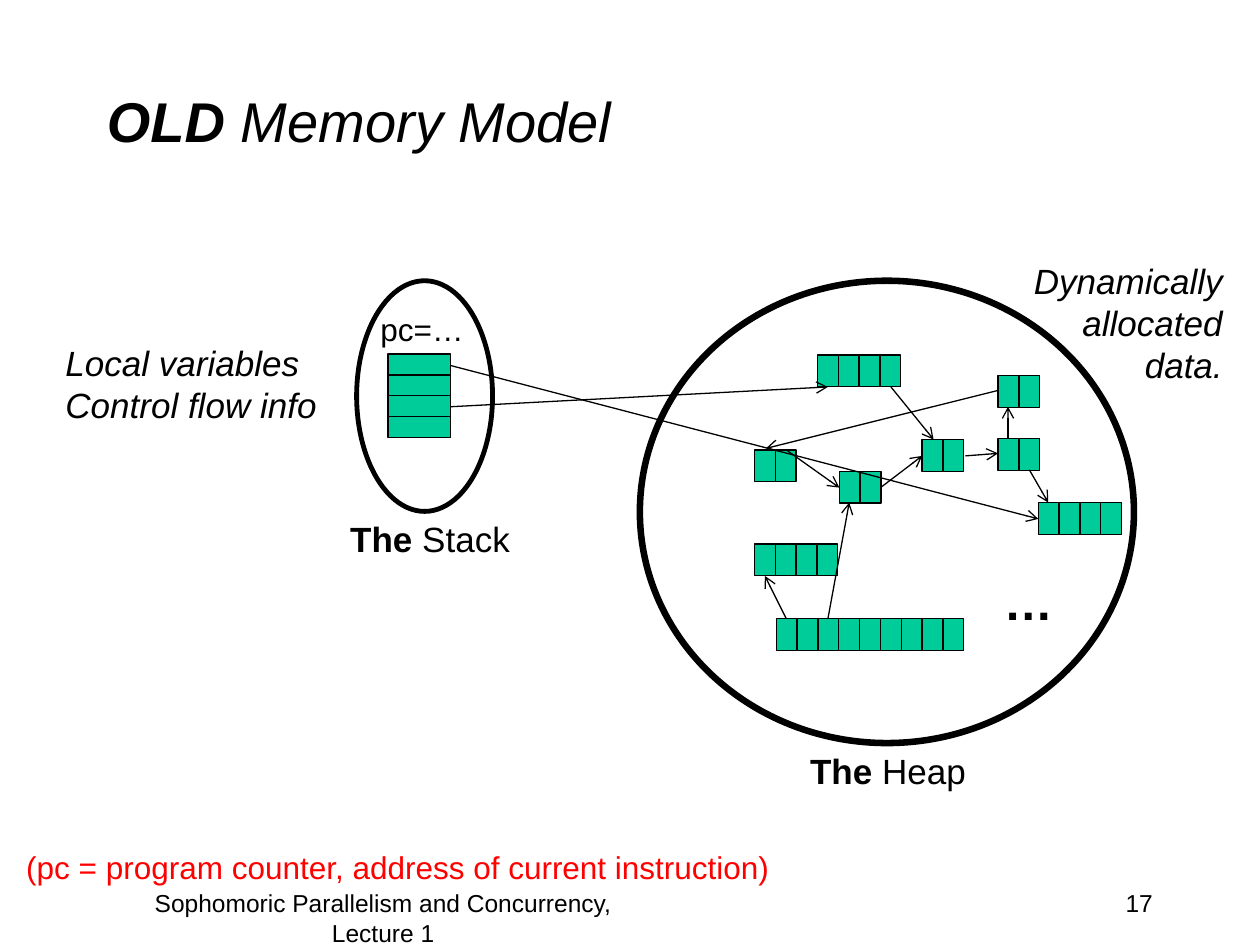
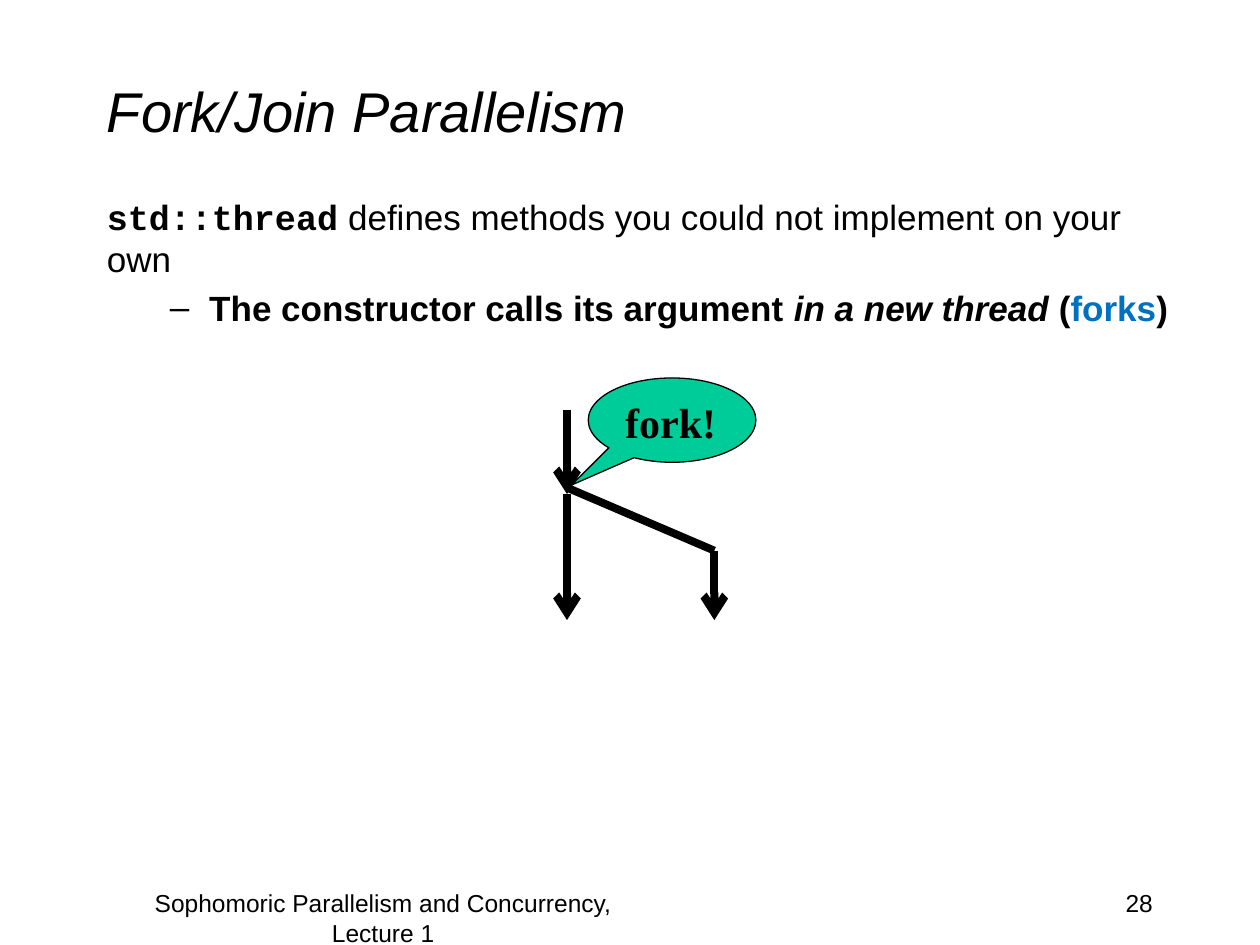
"""Build two lecture slides: the old memory model and fork/join parallelism."""
from lxml import etree
from pptx import Presentation
from pptx.dml.color import RGBColor
from pptx.enum.shapes import MSO_CONNECTOR, MSO_SHAPE
from pptx.enum.text import MSO_ANCHOR, MSO_AUTO_SIZE, PP_ALIGN
from pptx.oxml.ns import qn
from pptx.util import Cm, Pt

STRAIGHT = MSO_CONNECTOR.STRAIGHT
RECTANGLE, OVAL, CALLOUT = MSO_SHAPE.RECTANGLE, MSO_SHAPE.OVAL, MSO_SHAPE.OVAL_CALLOUT
TOP, MIDDLE = MSO_ANCHOR.TOP, MSO_ANCHOR.MIDDLE
FIXED_SIZE, GROW = MSO_AUTO_SIZE.NONE, MSO_AUTO_SIZE.SHAPE_TO_FIT_TEXT
LEFT, CENTER, RIGHT = PP_ALIGN.LEFT, PP_ALIGN.CENTER, PP_ALIGN.RIGHT

BLACK = RGBColor(0x00, 0x00, 0x00)
GREEN = RGBColor(0x00, 0xCC, 0x99)
RED = RGBColor(0xFF, 0x00, 0x00)
BLUE = RGBColor(0x00, 0x70, 0xC0)
CELL_WIDTH, CELL_HEIGHT = 0.42, 0.64
FRAME_WIDTH, FRAME_HEIGHT = 1.27, 0.42
FOOTER = "Sophomoric Parallelism and Concurrency, Lecture 1"


def add_runs(paragraph, size, runs, alignment=LEFT):
    """Append runs given as (text, style letters, colour, font)."""
    paragraph.alignment = alignment
    for text, style, color, font in runs:
        run = paragraph.add_run()
        run.text = text
        run.font.size = Pt(size)
        run.font.name = font
        run.font.bold = "b" in style
        run.font.italic = "i" in style
        run.font.color.rgb = color


def add_line(slide, points, width, arrow=True):
    """Draw a black line between two points, with an arrowhead if wanted."""
    connector = slide.shapes.add_connector(STRAIGHT, *[Cm(value) for value in points])
    connector.line.color.rgb = BLACK
    connector.line.width = Pt(width)
    properties = connector.element.spPr
    if arrow:
        etree.SubElement(properties.find(qn("a:ln")), qn("a:tailEnd"), type="arrow")
    etree.SubElement(properties, qn("a:effectLst"))


presentation = Presentation()
presentation.slide_width, presentation.slide_height = Cm(25.4), Cm(19.05)

slides = []
for layout, title_top, title_runs, number in (
    (5, 0.84, [("OLD ", "bi", BLACK, "Arial"), ("Memory Model", "i", BLACK, "Arial")], "17"),
    (1, 0.64, [("Fork/Join Parallelism", "i", BLACK, "Arial")], "28"),
):
    slide = presentation.slides.add_slide(presentation.slide_layouts[layout])
    slides.append(slide)
    title = slide.shapes.title
    title.left, title.top, title.width, title.height = Cm(1.9), Cm(title_top), Cm(21.6), Cm(3.18)
    title.text_frame.auto_size = FIXED_SIZE
    title.text_frame.vertical_anchor = MIDDLE
    add_runs(title.text_frame.paragraphs[0], 32, title_runs)
    for left, width, text, alignment in ((18.21, 5.28, number, RIGHT), (2.11, 11.23, FOOTER, CENTER)):
        box = slide.shapes.add_textbox(Cm(left), Cm(17.78), Cm(width), Cm(1.27))
        box.text_frame.word_wrap = True
        add_runs(box.text_frame.paragraphs[0], 14, [(text, "", BLACK, "Arial")], alignment)

memory_slide, fork_slide = slides

for left, top, width, height, weight in ((12.9, 5.66, 9.96, 9.32, 3.75), (7.19, 5.66, 2.74, 4.65, 2.75)):
    region = memory_slide.shapes.add_shape(OVAL, Cm(left), Cm(top), Cm(width), Cm(height))
    region.shadow.inherit = False
    region.fill.background()
    region.line.color.rgb = BLACK
    region.line.width = Pt(weight)

heap_objects = (
    (15.21, 9.07, 2), (15.21, 10.97, 4), (16.92, 9.5, 2),
    (18.59, 8.86, 2), (16.48, 7.16, 4), (20.93, 10.13, 4),
    (15.65, 12.47, 9), (20.12, 8.84, 2), (20.12, 7.57, 2),
)
cells = [
    (left + index * CELL_WIDTH, top, CELL_WIDTH, CELL_HEIGHT)
    for left, top, count in heap_objects
    for index in range(count)
]
cells += [(7.82, 7.14 + index * FRAME_HEIGHT, FRAME_WIDTH, FRAME_HEIGHT) for index in range(4)]
for bounds in cells:
    cell = memory_slide.shapes.add_shape(RECTANGLE, *[Cm(value) for value in bounds])
    cell.shadow.inherit = False
    cell.fill.solid()
    cell.fill.fore_color.rgb = GREEN
    cell.line.color.rgb = BLACK
    cell.line.width = Pt(0.75)

for reference in (
    (17.96, 7.8, 18.82, 8.86),
    (15.85, 9.07, 16.92, 9.83),
    (17.75, 9.83, 18.59, 9.19),
    (15.85, 12.47, 15.42, 11.61),
    (16.69, 12.47, 17.12, 10.13),
    (9.09, 7.37, 20.93, 10.46),
    (9.09, 8.2, 16.69, 7.8),
    (19.46, 9.19, 20.12, 9.14),
    (20.32, 8.84, 20.32, 8.2),
    (20.12, 7.87, 15.44, 9.04),
    (20.75, 9.47, 21.13, 10.13),
):
    add_line(memory_slide, reference, 0.75)

labels = (
    ((19.99, 11.4, 1.5, 1.45), 28, LEFT, [[("…", "b", BLACK)]]),
    ((7.42, 6.12, 2.21, 1.02), 18, LEFT, [[("pc=…", "", BLACK)]]),
    ((6.81, 10.31, 3.76, 1.12), 20, LEFT, [[("The", "b", BLACK), (" Stack", "", BLACK)]]),
    ((16.08, 14.99, 3.68, 1.12), 20, LEFT, [[("The", "b", BLACK), (" Heap", "", BLACK)]]),
    ((1.07, 6.76, 5.61, 1.96), 20, LEFT,
     [[("Local variables", "i", BLACK)], [("Control flow info", "i", BLACK)]]),
    ((20.12, 5.11, 4.78, 2.82), 20, RIGHT, [[("Dynamically allocated data.", "i", BLACK)]]),
    ((0.28, 16.97, 15.65, 1.02), 18, LEFT,
     [[("(pc = program counter, address of current instruction)", "", RED)]]),
)
for bounds, size, alignment, lines in labels:
    label = memory_slide.shapes.add_textbox(*[Cm(value) for value in bounds])
    frame = label.text_frame
    frame.word_wrap = alignment == RIGHT
    frame.auto_size = GROW
    for index, runs in enumerate(lines):
        paragraph = frame.add_paragraph() if index else frame.paragraphs[0]
        add_runs(paragraph, size, [(*run, "Arial") for run in runs], alignment)

body = fork_slide.placeholders[1]
body.left, body.top, body.width, body.height = Cm(1.9), Cm(3.81), Cm(22.43), Cm(13.34)
body.text_frame.auto_size = FIXED_SIZE
statement = body.text_frame.paragraphs[0]
add_runs(statement, 20, [
    ("std::thread", "b", BLACK, "Courier New"),
    (" defines methods you could not implement on your own", "", BLACK, "Arial"),
])
statement_properties = statement._p.get_or_add_pPr()
statement_properties.set("marL", "0")
statement_properties.set("indent", "0")
etree.SubElement(statement_properties, qn("a:buNone"))
detail = body.text_frame.add_paragraph()
detail.level = 1
add_runs(detail, 20, [
    ("The constructor calls its argument ", "b", BLACK, "Arial"),
    ("in a new thread", "bi", BLACK, "Arial"),
    (" (", "b", BLACK, "Arial"),
    ("forks", "b", BLUE, "Arial"),
    (")", "b", BLACK, "Arial"),
])

add_line(fork_slide, (11.43, 8.26, 11.43, 9.96), 4.5)
callout = fork_slide.shapes.add_shape(CALLOUT, Cm(11.86), Cm(7.62), Cm(3.38), Cm(1.7))
callout.adjustments[0], callout.adjustments[1] = -0.6, 0.77
callout.shadow.inherit = False
callout.fill.solid()
callout.fill.fore_color.rgb = GREEN
callout.line.color.rgb = BLACK
callout.line.width = Pt(0.75)
callout.text_frame.vertical_anchor = TOP
add_runs(callout.text_frame.paragraphs[0], 24, [("fork!", "b", BLACK, "Times New Roman")])
add_line(fork_slide, (11.43, 9.96, 11.43, 12.5), 4.5)
add_line(fork_slide, (14.4, 11.1, 14.4, 12.5), 4.5)
add_line(fork_slide, (11.43, 9.83, 14.4, 11.1), 4.5, arrow=False)

presentation.save("out.pptx")
